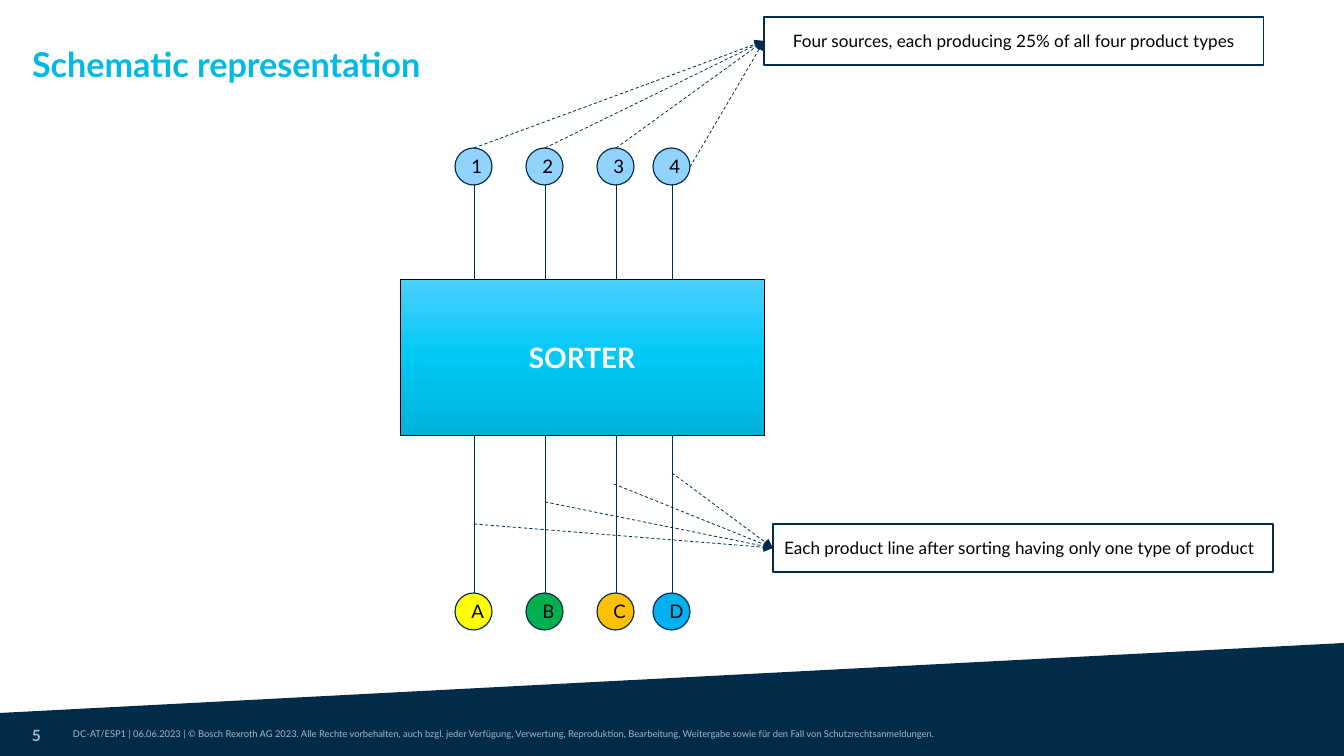
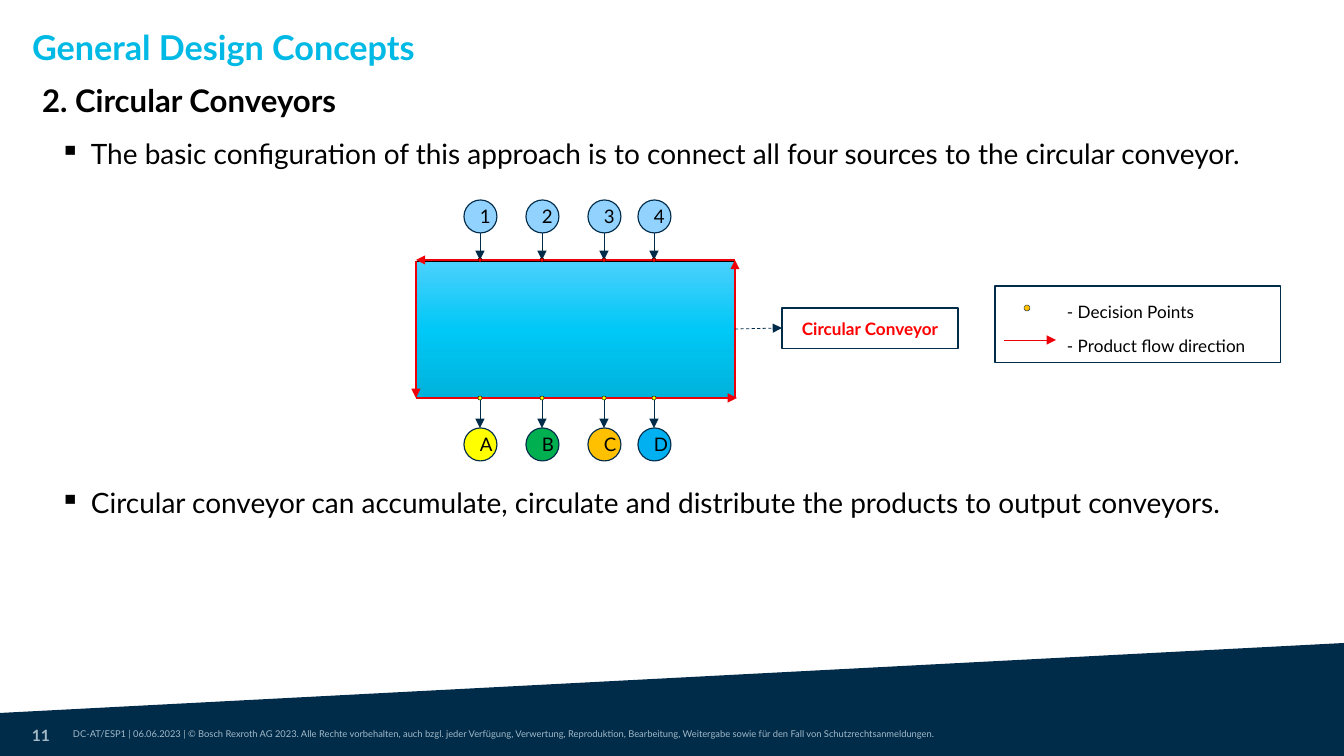
from copy import deepcopy

from pptx import Presentation
from pptx.dml.color import RGBColor
from pptx.enum.dml import MSO_LINE
from pptx.enum.shapes import MSO_CONNECTOR, MSO_SHAPE
from pptx.enum.text import MSO_ANCHOR, PP_ALIGN
from pptx.oxml.ns import qn
from pptx.oxml.xmlchemy import OxmlElement
from pptx.util import Pt

PX = 914400 / 112
FONT = "Lato"
NAVY = RGBColor(0x00, 0x2B, 0x49)
CYAN = RGBColor(0x00, 0xB9, 0xE5)
MIST = RGBColor(0xA3, 0xBA, 0xC8)
BLACK = RGBColor(0x00, 0x00, 0x00)
WHITE = RGBColor(0xFF, 0xFF, 0xFF)
SKY = RGBColor(0x92, 0xD2, 0xFF)
YELLOW = RGBColor(0xFF, 0xFF, 0x00)
GREEN = RGBColor(0x00, 0xB0, 0x50)
AMBER = RGBColor(0xFF, 0xC0, 0x00)
BLUE = RGBColor(0x00, 0xB0, 0xF0)
RED = RGBColor(0xFF, 0x00, 0x00)
FLOW_RED = RGBColor(0xED, 0x00, 0x07)
SORTER_BLUES = [
    (0, RGBColor(0x4B, 0xD0, 0xFC)),
    (0.5, RGBColor(0x00, 0xC8, 0xF7)),
    (1, RGBColor(0x00, 0xB2, 0xDB)),
]

SOURCES = [("1", SKY), ("2", SKY), ("3", SKY), ("4", SKY)]
OUTPUTS = [("A", YELLOW), ("B", GREEN), ("C", AMBER), ("D", BLUE)]
FOOTER = (
    "DC-AT/ESP1 | 06.06.2023 | © Bosch Rexroth AG 2023. Alle Rechte vorbehalten, "
    "auch bzgl. jeder Verfügung, Verwertung, Reproduktion, Bearbeitung, Weitergabe "
    "sowie für den Fall von Schutzrechtsanmeldungen."
)


def put(slide, text, box, kind=None, fill=None, line=NAVY, weight=0.75, size=11,
        color=BLACK, bold=False, align=None, spacing=None, bullet=None, wrap=True):
    """Place text in a plain text box, or in a preset shape when kind is given."""
    box = [round(v * PX) for v in box]
    if kind is None:
        shape = slide.shapes.add_textbox(*box)
    else:
        shape = slide.shapes.add_shape(kind, *box)
        shape.shadow.inherit = False
        shape.line.color.rgb = line
        shape.line.width = Pt(weight)
        if fill is None:
            shape.fill.background()
        elif isinstance(fill, list):
            shape.fill.gradient()
            shape.fill.gradient_angle = 270
            stop_list = shape._element.spPr.find(".//" + qn("a:gsLst"))
            stop_list.insert(1, deepcopy(stop_list[0]))
            for stop, (position, stop_color) in zip(shape.fill.gradient_stops, fill):
                stop.position = position
                stop.color.rgb = stop_color
        else:
            shape.fill.solid()
            shape.fill.fore_color.rgb = fill
    if not text:
        return

    frame = shape.text_frame
    frame.word_wrap = wrap
    if kind is None:
        frame.margin_left = frame.margin_right = 0
        frame.margin_top = frame.margin_bottom = 0
    else:
        frame.vertical_anchor = MSO_ANCHOR.MIDDLE
    paragraph = frame.paragraphs[0]
    paragraph.alignment = align or PP_ALIGN.LEFT
    if bullet:
        properties = paragraph._p.get_or_add_pPr()
        properties.set("marL", str(round(31 * PX)))
        properties.set("indent", str(round(-31 * PX)))
        mark = OxmlElement("a:buChar")
        mark.set("char", bullet)
        properties.append(mark)
    if spacing:
        paragraph.line_spacing = spacing
    run = paragraph.add_run()
    run.text = text
    run.font.name = FONT
    run.font.size = Pt(size)
    run.font.bold = bold
    run.font.color.rgb = color


def link(slide, start, end, color=NAVY, weight=0.5, dashed=False, arrow=True):
    """Draw a straight line from start to end."""
    ends = [round(v * PX) for v in (*start, *end)]
    connector = slide.shapes.add_connector(MSO_CONNECTOR.STRAIGHT, *ends)
    connector.line.color.rgb = color
    connector.line.width = Pt(weight)
    if dashed:
        connector.line.dash_style = MSO_LINE.DASH
    if arrow:
        head = OxmlElement("a:tailEnd")
        head.set("type", "triangle")
        connector.line._get_or_add_ln().append(head)
    connector._element.spPr.append(OxmlElement("a:effectLst"))


prs = Presentation()
prs.slide_width = round(1344 * PX)
prs.slide_height = round(756 * PX)

# Shared band, footer, page number and title
slides = []
for page, title, title_top in [
    ("5", "Schematic representation", 48),
    ("11", "General Design Concepts", 31),
]:
    slide = prs.slides.add_slide(prs.slide_layouts[6])
    outline = slide.shapes.build_freeform(0, 756, scale=PX)
    outline.add_line_segments([(0, 713), (1344, 643), (1344, 756)], close=True)
    band = outline.convert_to_shape()
    band.shadow.inherit = False
    band.fill.solid()
    band.fill.fore_color.rgb = NAVY
    band.line.fill.background()
    put(slide, FOOTER, (73, 727, 1084, 15), size=6, color=MIST, spacing=1.07)
    put(slide, page, (32, 726, 41, 30), size=10, color=MIST, bold=True, wrap=False)
    put(slide, title, (32, title_top, 1280, 48), size=22, color=CYAN, bold=True,
        spacing=0.89)
    slides.append(slide)
schematic, concepts = slides

# Schematic: sorter with its sources and outputs
lanes = [474, 545, 616, 672]
put(schematic, "SORTER", (400, 279, 364, 156), kind=MSO_SHAPE.RECTANGLE,
    fill=SORTER_BLUES, line=BLACK, weight=0.5, size=18, color=WHITE, bold=True,
    align=PP_ALIGN.CENTER)
for top, nodes in [(148, SOURCES), (593, OUTPUTS)]:
    for x, (label, fill) in zip(lanes, nodes):
        put(schematic, label, (x - 19, top, 37, 37), kind=MSO_SHAPE.OVAL, fill=fill,
            size=12, align=PP_ALIGN.CENTER)
for x in lanes:
    link(schematic, (x, 185), (x, 279), arrow=False)
    link(schematic, (x, 435), (x, 593), arrow=False)

# Schematic: callouts with dashed pointers
callouts = [
    ("Each product line after sorting having only one type of product",
     (773, 524), PP_ALIGN.LEFT, [(474, 524), (545, 502), (614, 484), (672, 473)]),
    ("Four sources, each producing 25% of all four product types",
     (764, 17), PP_ALIGN.CENTER, [(474, 148), (545, 148), (616, 148), (690, 167)]),
]
for note, (left, top), align, starts in callouts:
    put(schematic, note, (left, top, 500, 48), kind=MSO_SHAPE.RECTANGLE, align=align)
    for start in starts:
        link(schematic, start, (left, top + 24), dashed=True)

# Concepts: heading and bullets
put(concepts, "2. Circular Conveyors", (42, 86, 1280, 48), size=20, bold=True,
    spacing=0.89)
for top, point in [
    (120, "The basic configuration of this approach is to connect all four sources "
          "to the circular conveyor."),
    (469, "Circular conveyor can accumulate, circulate and distribute the products "
          "to output conveyors."),
]:
    put(concepts, point, (60, top, 1261, 94), size=18, align=PP_ALIGN.JUSTIFY,
        spacing=1.5, bullet="▪")

# Concepts: conveyor with its sources and outputs
lanes = [480, 542, 604, 654]
put(concepts, "", (416, 261, 318, 137), kind=MSO_SHAPE.RECTANGLE, fill=SORTER_BLUES,
    line=BLACK, weight=0.5)
for top, nodes in [(200, SOURCES), (428, OUTPUTS)]:
    for x, (label, fill) in zip(lanes, nodes):
        put(concepts, label, (x - 16, top, 33, 33), kind=MSO_SHAPE.OVAL, fill=fill,
            size=12, align=PP_ALIGN.CENTER)
for x in lanes:
    link(concepts, (x, 233), (x, 260))
    link(concepts, (x, 398), (x, 428))

# Concepts: flow direction around the conveyor
for start, end in [
    ((735, 260), (416, 260)),
    ((416, 261), (416, 398)),
    ((735, 398), (735, 260)),
    ((416, 398), (737, 398)),
]:
    link(concepts, start, end, color=FLOW_RED, weight=1.25)

# Concepts: decision points
for top, fill in [(258, RED), (396, YELLOW)]:
    for x in lanes:
        put(concepts, "", (x - 2, top, 4, 4), kind=MSO_SHAPE.OVAL, fill=fill,
            line=BLACK, weight=0.25)

# Concepts: conveyor label
link(concepts, (735, 329), (782, 328), dashed=True)
put(concepts, "Circular Conveyor", (782, 308, 176, 41), kind=MSO_SHAPE.RECTANGLE,
    color=RED, bold=True, align=PP_ALIGN.CENTER)

# Concepts: legend
put(concepts, "", (1024, 305, 6, 6), kind=MSO_SHAPE.OVAL, fill=AMBER, weight=0.25)
link(concepts, (1004, 340), (1056, 340), color=FLOW_RED)
for top, entry in [(286, "- Decision Points"), (320, "- Product flow direction")]:
    put(concepts, entry, (1067, top, 205, 31), spacing=Pt(23))
put(concepts, "", (995, 286, 286, 77), kind=MSO_SHAPE.RECTANGLE)

prs.save("out.pptx")
